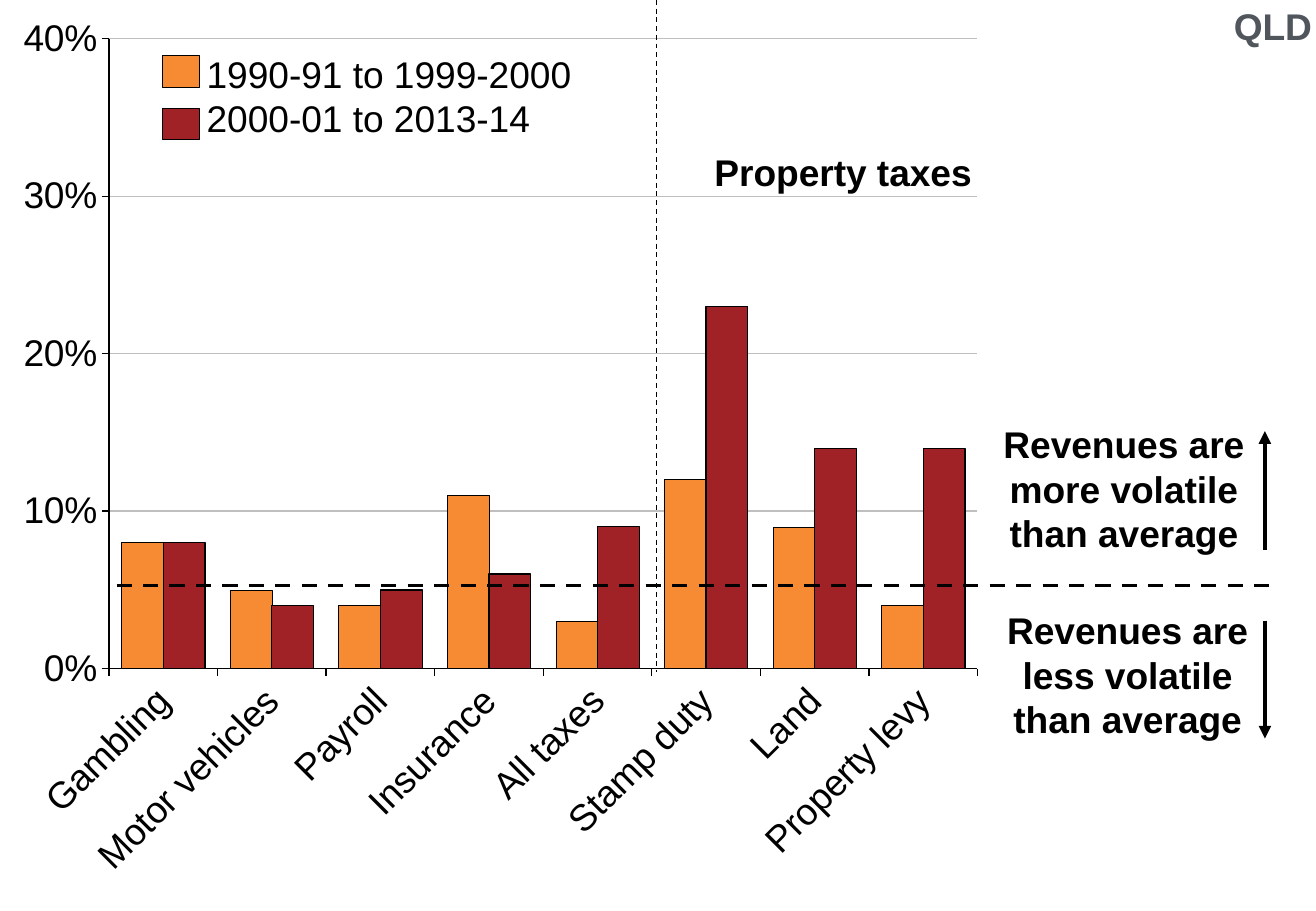
from pptx import Presentation
from pptx.chart.data import CategoryChartData
from pptx.dml.color import RGBColor
from pptx.enum.chart import XL_CHART_TYPE, XL_TICK_MARK
from pptx.enum.dml import MSO_LINE
from pptx.enum.shapes import MSO_CONNECTOR, MSO_SHAPE
from pptx.enum.text import MSO_ANCHOR, MSO_AUTO_SIZE, PP_ALIGN
from pptx.oxml import parse_xml
from pptx.oxml.ns import nsdecls, qn
from pptx.oxml.xmlchemy import OxmlElement
from pptx.util import Inches, Pt

COLORS = {"ink": "000000", "early": "F68B33", "late": "A02226",
          "grid": "BFBFBF", "state": "50565C"}
FONT, SIZE = "Arial", 22
WIDTH, HEIGHT = 10.83, 7.5

TAXES = ["Gambling", "Motor vehicles", "Payroll", "Insurance",
         "All taxes", "Stamp duty", "Land", "Property levy"]
# name, values, colour, outline width
SERIES = [
    ("Series 1", (.08, .05, .04, .11, .03, .12, .09, .04), "early", 0.25),
    ("Series 2", (.08, .04, .05, .06, .09, .23, .14, .14), "late", 0.75),
]
PLOT = {"x": 0.08, "y": 0.04, "w": 0.66, "h": 0.7}


def rgb(name):
    return RGBColor.from_string(COLORS[name])


class Canvas:
    """Places elements on one slide; lengths are percent of its size."""

    def __init__(self, slide):
        self.shapes = slide.shapes

    def span(self, x1, y1, x2, y2):
        return (Inches(WIDTH * x1 / 100), Inches(HEIGHT * y1 / 100),
                Inches(WIDTH * x2 / 100), Inches(HEIGHT * y2 / 100))

    def font(self, font, color="ink", bold=False):
        font.name, font.size, font.bold = FONT, Pt(SIZE), bold
        font.color.rgb = rgb(color)

    def stroke(self, line, color="ink", width=0.75):
        line.color.rgb = rgb(color)
        line.width = Pt(width)

    def label(self, shape, lines, align, color="ink", bold=True):
        frame = shape.text_frame
        frame.word_wrap = True
        frame.auto_size = MSO_AUTO_SIZE.NONE
        frame.vertical_anchor = MSO_ANCHOR.TOP
        frame.margin_left = frame.margin_right = 0
        frame.margin_top = frame.margin_bottom = 0
        frame.text = "\n".join(lines)
        for par in frame.paragraphs:
            par.alignment = align
            self.font(par.font, color, bold)

    def title(self, text, *place):
        head = self.shapes.title
        head.left, head.top, head.width, head.height = self.span(*place)
        self.label(head, [text], PP_ALIGN.RIGHT, "state")

    def text(self, lines, *place, align=PP_ALIGN.LEFT, bold=True):
        shape = self.shapes.add_textbox(*self.span(*place))
        self.label(shape, lines, align, bold=bold)

    def swatch(self, color, *place):
        shape = self.shapes.add_shape(MSO_SHAPE.RECTANGLE, *self.span(*place))
        shape.shadow.inherit = False
        shape.fill.solid()
        shape.fill.fore_color.rgb = rgb(color)
        self.stroke(shape.line)

    def line(self, *ends, width=0.75, dash=False, arrow=False):
        link = self.shapes.add_connector(
            MSO_CONNECTOR.STRAIGHT, *self.span(*ends))
        self.stroke(link.line, width=width)
        if dash:
            link.line.dash_style = MSO_LINE.DASH
        props = link.element.spPr
        if arrow:
            tip = OxmlElement("a:tailEnd")
            tip.set("type", "triangle")
            props.find(qn("a:ln")).append(tip)
        props.append(OxmlElement("a:effectLst"))

    def chart(self, *place):
        data = CategoryChartData(number_format="0%")
        data.categories = TAXES
        for name, values, _, _ in SERIES:
            data.add_series(name, values)
        chart = self.shapes.add_chart(
            XL_CHART_TYPE.COLUMN_CLUSTERED, *self.span(*place), data).chart
        chart.has_legend = chart.has_title = False
        self.font(chart.font)

        # Bars
        bars = chart.plots[0]
        bars.gap_width, bars.overlap = 60, 0
        bars.vary_by_categories = False
        for item, (_, _, color, width) in zip(bars.series, SERIES):
            item.format.fill.solid()
            item.format.fill.fore_color.rgb = rgb(color)
            self.stroke(item.format.line, width=width)

        # Axes
        for axis in (chart.category_axis, chart.value_axis):
            axis.major_tick_mark = XL_TICK_MARK.OUTSIDE
            axis.minor_tick_mark = XL_TICK_MARK.NONE
            self.font(axis.tick_labels.font)
            self.stroke(axis.format.line)
        scale = chart.value_axis
        scale.minimum_scale, scale.maximum_scale = 0, 0.4
        scale.major_unit = 0.1
        scale.has_major_gridlines = True
        self.stroke(scale.major_gridlines.format.line, "grid")
        scale.tick_labels.number_format = "0%"
        scale.tick_labels.number_format_is_linked = False

        # Slanted category labels and fixed plot area
        root = chart.element
        slant = root.find(".//" + qn("c:catAx")).find(".//" + qn("a:bodyPr"))
        slant.set("rot", "-2700000")
        slant.set("vert", "horz")
        area = root.find(".//" + qn("c:plotArea"))
        for old in area.findall(qn("c:layout")):
            area.remove(old)
        modes = "".join(f'<c:{k}Mode val="edge"/>' for k in "xy")
        sizes = "".join(f'<c:{k} val="{v}"/>' for k, v in PLOT.items())
        area.insert(0, parse_xml(
            f'<c:layout {nsdecls("c")}><c:manualLayout>'
            f'<c:layoutTarget val="inner"/>{modes}{sizes}'
            '</c:manualLayout></c:layout>'))


def main():
    deck = Presentation()
    deck.slide_width, deck.slide_height = Inches(WIDTH), Inches(HEIGHT)
    page = Canvas(deck.slides.add_slide(deck.slide_layouts[5]))

    # State heading and chart
    page.title("QLD", 87.35, 0.4, 12.35, 5.6)
    page.chart(0.28, 0.3, 100, 98.8)

    # Average line and property tax divider
    page.line(8.86, 64.27, 97.23, 64.27, width=2.25, dash=True)
    page.line(49.86, 0, 49.86, 73.73, dash=True)
    page.text(["Property taxes"], 54.29, 16.4, 20.59, 4.93)

    # Notes above and below the average, with arrows
    for word, left, top, start, end in (("more", 75.62, 46.27, 60.4, 47.33),
                                        ("less", 75.9, 66.67, 68.13, 81.07)):
        page.text([f"Revenues are {word} volatile than average"],
                  left, top, 19.58, 14.8, align=PP_ALIGN.CENTER)
        page.line(96.12, start, 96.12, end, width=2.5, arrow=True)

    # Legend
    for row, (_, _, color, _) in enumerate(SERIES):
        page.swatch(color, 12.37, 6.13 + 5.74 * row, 2.77, 3.47)
    page.text(["1990-91 to 1999-2000", "2000-01 to 2013-14"],
              15.7, 5.6, 34.16, 9.87, bold=False)

    deck.save("out.pptx")


if __name__ == "__main__":
    main()
